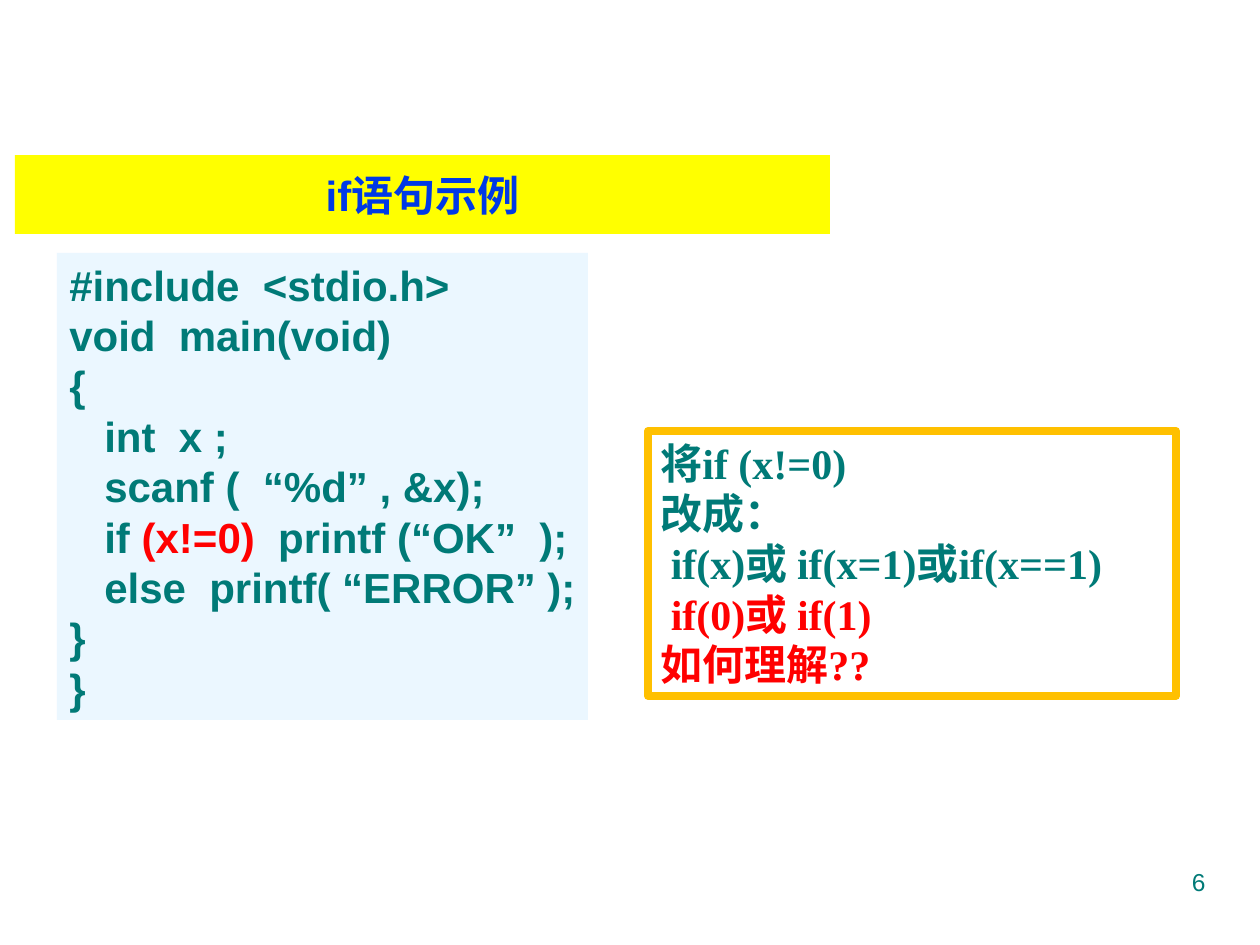
from pptx import Presentation
from pptx.dml.color import RGBColor as RGB
from pptx.enum.shapes import MSO_SHAPE as SHAPE
from pptx.enum.text import MSO_ANCHOR as ANCHOR, PP_ALIGN as ALIGN
from pptx.util import Pt

PX = 914400 // 126
TEAL = RGB(0x00, 0x7A, 0x77)
RED = RGB(0xFF, 0x00, 0x00)
BLUE = RGB(0x00, 0x39, 0xE5)
YELLOW = RGB(0xFF, 0xFF, 0x00)
PALE = RGB(0xEB, 0xF7, 0xFF)
GOLD = RGB(0xFF, 0xC0, 0x00)

TITLE = [[("if语句示例", BLUE)]]
CODE = [
    [("#include  <stdio.h>", TEAL)],
    [("void  main(void)", TEAL)],
    [("{", TEAL)],
    [("   int  x ;", TEAL)],
    [("   scanf (  “%d” , &x);", TEAL)],
    [("   if ", TEAL), ("(x!=0)  ", RED), ("printf (“OK”  );", TEAL)],
    [("   else  printf( “ERROR” );", TEAL)],
    [("}", TEAL)],
    [("}", TEAL)],
]
NOTE = [
    [("将if (x!=0)", TEAL)],
    [("改成：", TEAL)],
    [(" if(x)或 if(x=1)或if(x==1)", TEAL)],
    [(" if(0)或 if(1)", RED)],
    [("如何理解??", RED)],
]
PAGE = [[("6", TEAL)]]


def write(shape, lines, face="Arial", size=24, bold=True,
          align=ALIGN.LEFT, anchor=ANCHOR.TOP, wrap=True, pitch=None):
    frame = shape.text_frame
    frame.word_wrap = wrap
    frame.vertical_anchor = anchor
    for i, line in enumerate(lines):
        para = frame.add_paragraph() if i else frame.paragraphs[0]
        para.alignment = align
        if pitch:
            para.line_spacing = Pt(pitch)
        para.font.name = face
        para.font.size = Pt(size)
        para.font.bold = bold
        for text, color in line:
            run = para.add_run()
            run.text = text
            run.font.color.rgb = color


def panel(slide, box, fill=None, edge=None):
    shape = slide.shapes.add_shape(SHAPE.RECTANGLE, *(n * PX for n in box))
    shape.shadow.inherit = False
    if fill is None:
        shape.fill.background()
    else:
        shape.fill.solid()
        shape.fill.fore_color.rgb = fill
    if edge is None:
        shape.line.fill.background()
    else:
        shape.line.color.rgb = edge
        shape.line.width = Pt(4.5)
    return shape


def main():
    deck = Presentation()
    deck.slide_width, deck.slide_height = 1260 * PX, 945 * PX
    slide = deck.slides.add_slide(deck.slide_layouts[6])

    code = panel(slide, (57, 253, 531, 467), fill=PALE)
    write(code, CODE, wrap=False, pitch=28.8)
    note = panel(slide, (648, 431, 528, 265), edge=GOLD)
    write(note, NOTE, face="Times New Roman", pitch=28.8)
    title = panel(slide, (15, 155, 815, 79), fill=YELLOW)
    write(title, TITLE, align=ALIGN.CENTER, anchor=ANCHOR.MIDDLE)
    page = slide.shapes.add_textbox(*(n * PX for n in (903, 861, 315, 66)))
    write(page, PAGE, size=14, bold=False, align=ALIGN.RIGHT)

    deck.save("out.pptx")


if __name__ == "__main__":
    main()
